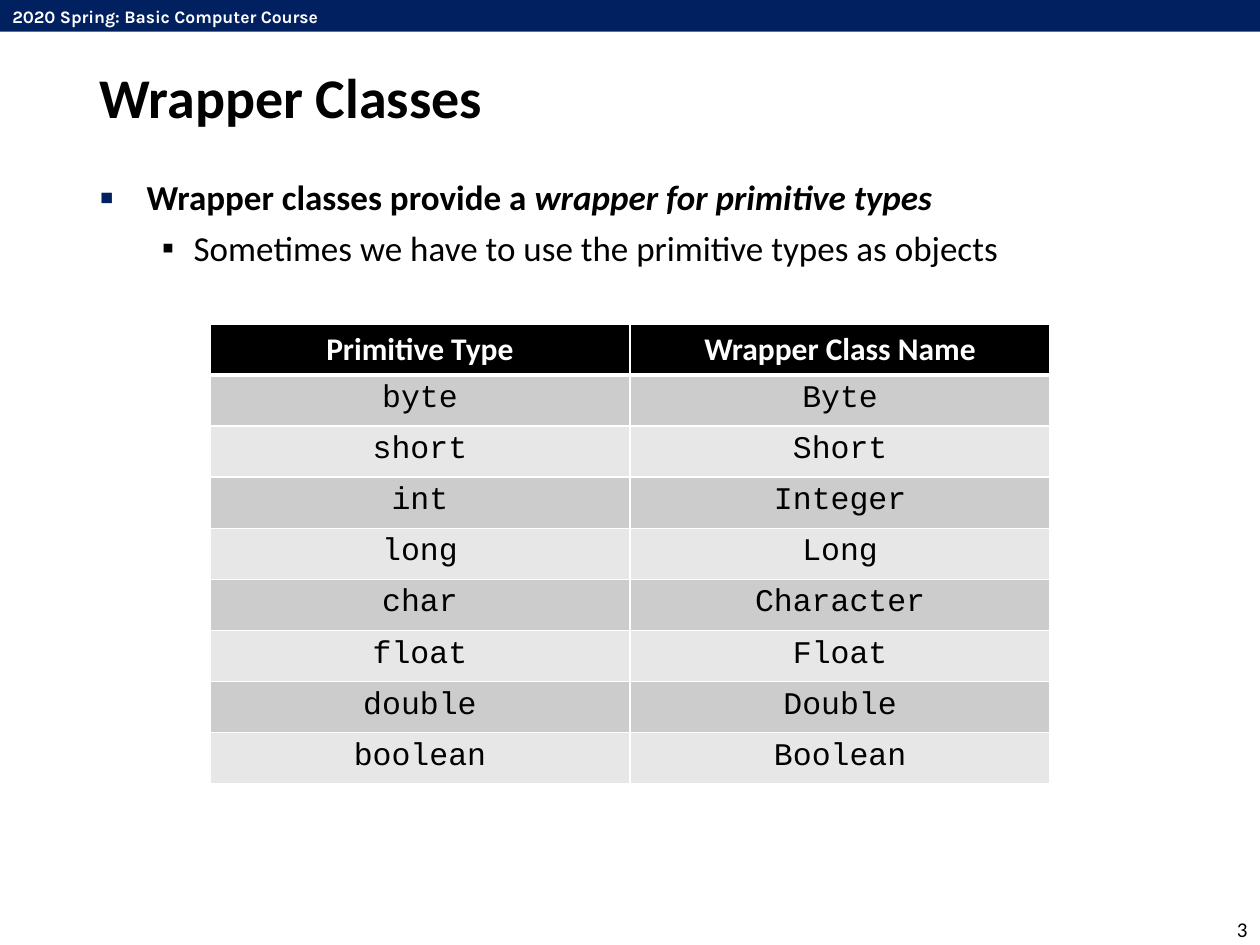
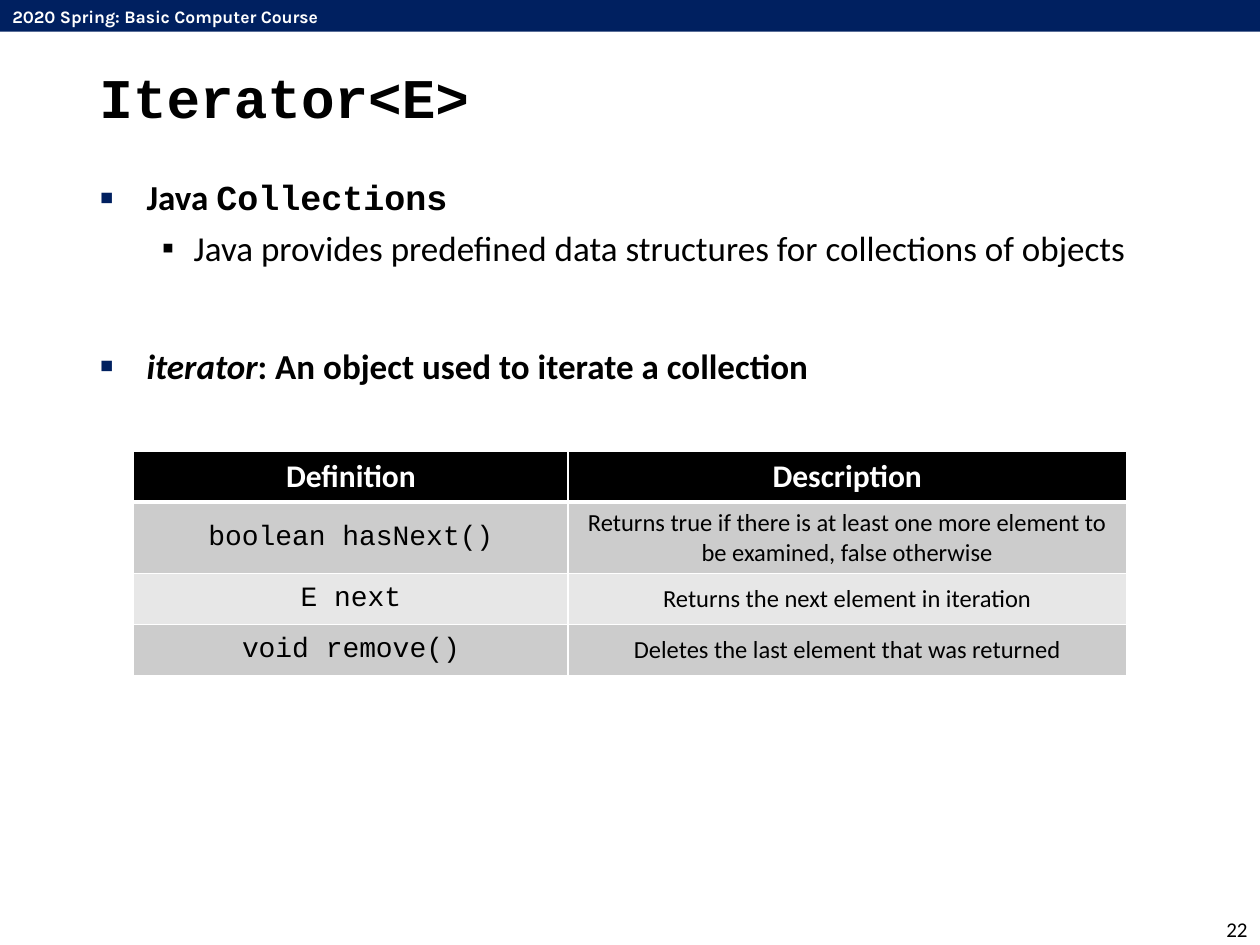
from dataclasses import dataclass

import lxml.etree
import pptx
import pptx.dml.color
import pptx.enum.shapes
import pptx.enum.text
import pptx.oxml.ns
import pptx.presentation
import pptx.shapes.base
import pptx.slide
import pptx.table
import pptx.text.text
import pptx.util

Cm = pptx.util.Cm
Pt = pptx.util.Pt
ALIGN = pptx.enum.text.PP_ALIGN
ANCHOR = pptx.enum.text.MSO_ANCHOR


@dataclass(frozen=True)
class Theme:
    navy: str = "002060"
    black: str = "000000"
    white: str = "FFFFFF"
    bands: tuple[str, str] = ("CCCCCC", "E7E7E7")
    sans: str = "Calibri"
    mono: str = "Courier New"
    label: str = "Karla"
    title_size: int = 32
    body_size: int = 20
    table_size: int = 18
    method_size: int = 16
    detail_size: int = 14
    number_size: int = 12
    label_size: int = 10
    thin_rule: int = 1
    thick_rule: int = 3


THEME = Theme()
PAGE_WIDTH, PAGE_HEIGHT = Cm(25.4), Cm(19.05)
ROW_HEIGHT = Cm(1.03)
COURSE = "2020 Spring: Basic Computer Course"


@dataclass(frozen=True)
class Level:
    margin: float
    hanging: float
    before: float
    spacing: float
    bold: bool
    bullet_color: str
    bullet_percent: int


LEVELS = (
    Level(0.95, 0.95, 10, 1.2, True, THEME.navy, 120),
    Level(1.9, 0.64, 5, 1.0, False, THEME.black, 100),
)


@dataclass(frozen=True)
class Span:
    text: str
    font: str = THEME.sans
    italic: bool = False


@dataclass(frozen=True)
class Point:
    spans: tuple[Span, ...]
    level: int = 0
    extra_before: float = 0


@dataclass(frozen=True)
class Column:
    heading: str
    width: float
    font: str
    size: int


@dataclass(frozen=True)
class Grid:
    top: float
    columns: tuple[Column, ...]
    rows: tuple[tuple[str, ...], ...]
    anchor: pptx.enum.text.MSO_ANCHOR = ANCHOR.TOP


@dataclass(frozen=True)
class Lesson:
    number: int
    title: Span
    points: tuple[Point, ...]
    grid: Grid


PRIMITIVES = ("byte", "short", "int", "long", "char", "float", "double", "boolean")
LONGER_NAMES = {"int": "Integer", "char": "Character"}

LESSONS = (
    Lesson(
        3,
        Span("Wrapper Classes"),
        (
            Point((
                Span("Wrapper classes provide a "),
                Span("wrapper for primitive types", italic=True),
            )),
            Point((Span("Sometimes we have to use the primitive types as objects"),), 1),
        ),
        Grid(
            6.53,
            (
                Column("Primitive Type", 8.47, THEME.mono, THEME.table_size),
                Column("Wrapper Class Name", 8.47, THEME.mono, THEME.table_size),
            ),
            tuple((name, LONGER_NAMES.get(name, name.capitalize())) for name in PRIMITIVES),
        ),
    ),
    Lesson(
        22,
        Span("Iterator<E>", THEME.mono),
        (
            Point((Span("Java "), Span("Collections", THEME.mono))),
            Point((
                Span("Java provides predefined data structures for collections of objects"),
            ), 1),
            Point((
                Span("iterator", italic=True),
                Span(": An object used to iterate a collection"),
            ), extra_before=28.3),
        ),
        Grid(
            9.09,
            (
                Column("Definition", 8.76, THEME.mono, THEME.method_size),
                Column("Description", 11.25, THEME.sans, THEME.detail_size),
            ),
            (
                ("boolean hasNext()",
                 "Returns true if there is at least one more element to be examined, false otherwise"),
                ("E next", "Returns the next element in iteration"),
                ("void remove()", "Deletes the last element that was returned"),
            ),
            ANCHOR.MIDDLE,
        ),
    ),
)


def rgb(color: str) -> pptx.dml.color.RGBColor:
    return pptx.dml.color.RGBColor.from_string(color)


def add_node(parent: lxml.etree._Element, tag: str, **attributes: str) -> lxml.etree._Element:
    return lxml.etree.SubElement(parent, pptx.oxml.ns.qn(tag), attributes)


def write(para: pptx.text.text._Paragraph, text: str, *, size: int, font: str = THEME.sans,
          color: str = THEME.black, bold: bool = False, italic: bool = False,
          align: pptx.enum.text.PP_ALIGN = ALIGN.LEFT) -> None:
    para.alignment = align
    span = para.add_run()
    span.text = text
    span.font.name = font
    span.font.size = Pt(size)
    span.font.color.rgb = rgb(color)
    span.font.bold = bold
    span.font.italic = italic


def place(box: pptx.shapes.base.BaseShape, left: float, top: float,
          width: float, height: float) -> None:
    box.left, box.top, box.width, box.height = map(Cm, (left, top, width, height))


def draw_frame(page: pptx.slide.Slide, number: int) -> None:
    band = page.shapes.add_shape(pptx.enum.shapes.MSO_SHAPE.RECTANGLE,
                                 0, 0, PAGE_WIDTH, Cm(0.64))
    band.shadow.inherit = False
    band.fill.solid()
    band.fill.fore_color.rgb = rgb(THEME.navy)
    band.line.fill.background()

    course = page.shapes.add_textbox(0, 0, Cm(7), Cm(0.69)).text_frame
    course.word_wrap = True
    write(course.paragraphs[0], COURSE, size=THEME.label_size, font=THEME.label,
          color=THEME.white, bold=True)

    corner = page.shapes.add_textbox(Cm(23.8), Cm(18.42), Cm(1.6), Cm(0.63)).text_frame
    corner.word_wrap = True
    corner.vertical_anchor = ANCHOR.MIDDLE
    write(corner.paragraphs[0], str(number), size=THEME.number_size, align=ALIGN.RIGHT)


def draw_title(page: pptx.slide.Slide, title: Span) -> None:
    box = page.shapes.title
    place(box, 1.75, 1.02, 21.9, 1.85)
    box.text_frame.auto_size = pptx.enum.text.MSO_AUTO_SIZE.NONE
    box.text_frame.vertical_anchor = ANCHOR.MIDDLE
    write(box.text_frame.paragraphs[0], title.text, size=THEME.title_size,
          font=title.font, bold=True)


def format_point(para: pptx.text.text._Paragraph, point: Point) -> None:
    level = LEVELS[point.level]
    para.level = point.level
    para.line_spacing = level.spacing
    para.space_before = Pt(level.before + point.extra_before)
    para.space_after = Pt(0)
    properties = para._p.get_or_add_pPr()
    properties.set("marL", str(Cm(level.margin)))
    properties.set("indent", str(-Cm(level.hanging)))
    add_node(add_node(properties, "a:buClr"), "a:srgbClr", val=level.bullet_color)
    add_node(properties, "a:buSzPct", val=str(level.bullet_percent * 1000))
    add_node(properties, "a:buFont", typeface="Arial")
    add_node(properties, "a:buChar", char="▪")


def draw_points(page: pptx.slide.Slide, points: tuple[Point, ...]) -> None:
    box = page.placeholders[1]
    place(box, 1.75, 3.25, 21.9, 14.81)
    frame = box.text_frame
    frame.auto_size = pptx.enum.text.MSO_AUTO_SIZE.NONE
    for index, point in enumerate(points):
        para = frame.add_paragraph() if index else frame.paragraphs[0]
        format_point(para, point)
        for span in point.spans:
            write(para, span.text, size=THEME.body_size, font=span.font,
                  bold=LEVELS[point.level].bold, italic=span.italic)


def rule_cell(cell: pptx.table._Cell, row: int) -> None:
    properties = cell._tc.get_or_add_tcPr()
    thick_sides = {0: "B", 1: "T"}
    for side in "LRTB":
        weight = THEME.thick_rule if thick_sides.get(row) == side else THEME.thin_rule
        line = add_node(properties, f"a:ln{side}", w=str(Pt(weight)))
        add_node(add_node(line, "a:solidFill"), "a:srgbClr", val=THEME.white)


def fill_cell(cell: pptx.table._Cell, text: str, row: int, column: Column, grid: Grid) -> None:
    rule_cell(cell, row)
    cell.fill.solid()
    para = cell.text_frame.paragraphs[0]
    if row == 0:
        cell.fill.fore_color.rgb = rgb(THEME.black)
        write(para, text, size=THEME.table_size, color=THEME.white, bold=True,
              align=ALIGN.CENTER)
    else:
        cell.fill.fore_color.rgb = rgb(THEME.bands[(row - 1) % 2])
        cell.vertical_anchor = grid.anchor
        write(para, text, size=column.size, font=column.font, align=ALIGN.CENTER)


def draw_grid(page: pptx.slide.Slide, grid: Grid) -> None:
    rows = (tuple(column.heading for column in grid.columns), *grid.rows)
    width = Cm(sum(column.width for column in grid.columns))
    table = page.shapes.add_table(len(rows), len(grid.columns), (PAGE_WIDTH - width) // 2,
                                  Cm(grid.top), width, ROW_HEIGHT * len(rows)).table
    table.first_row = False
    table.horz_banding = False
    for index, column in enumerate(grid.columns):
        table.columns[index].width = Cm(column.width)
        for row, texts in enumerate(rows):
            fill_cell(table.cell(row, index), texts[index], row, column, grid)


def draw_lesson(deck: pptx.presentation.Presentation, lesson: Lesson) -> None:
    page = deck.slides.add_slide(deck.slide_layouts[1])
    draw_frame(page, lesson.number)
    draw_title(page, lesson.title)
    draw_points(page, lesson.points)
    draw_grid(page, lesson.grid)


def main() -> None:
    deck = pptx.Presentation()
    deck.slide_width, deck.slide_height = PAGE_WIDTH, PAGE_HEIGHT
    for lesson in LESSONS:
        draw_lesson(deck, lesson)
    deck.save("out.pptx")


if __name__ == "__main__":
    main()
